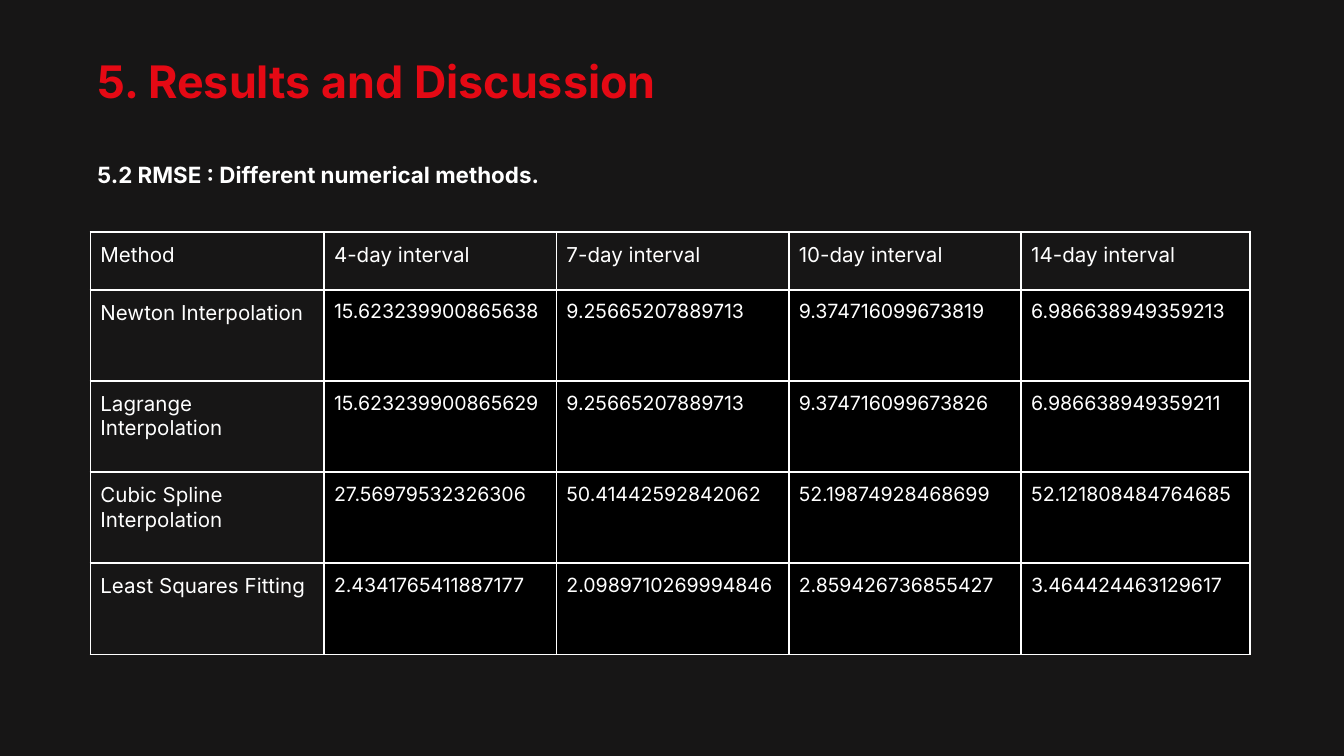
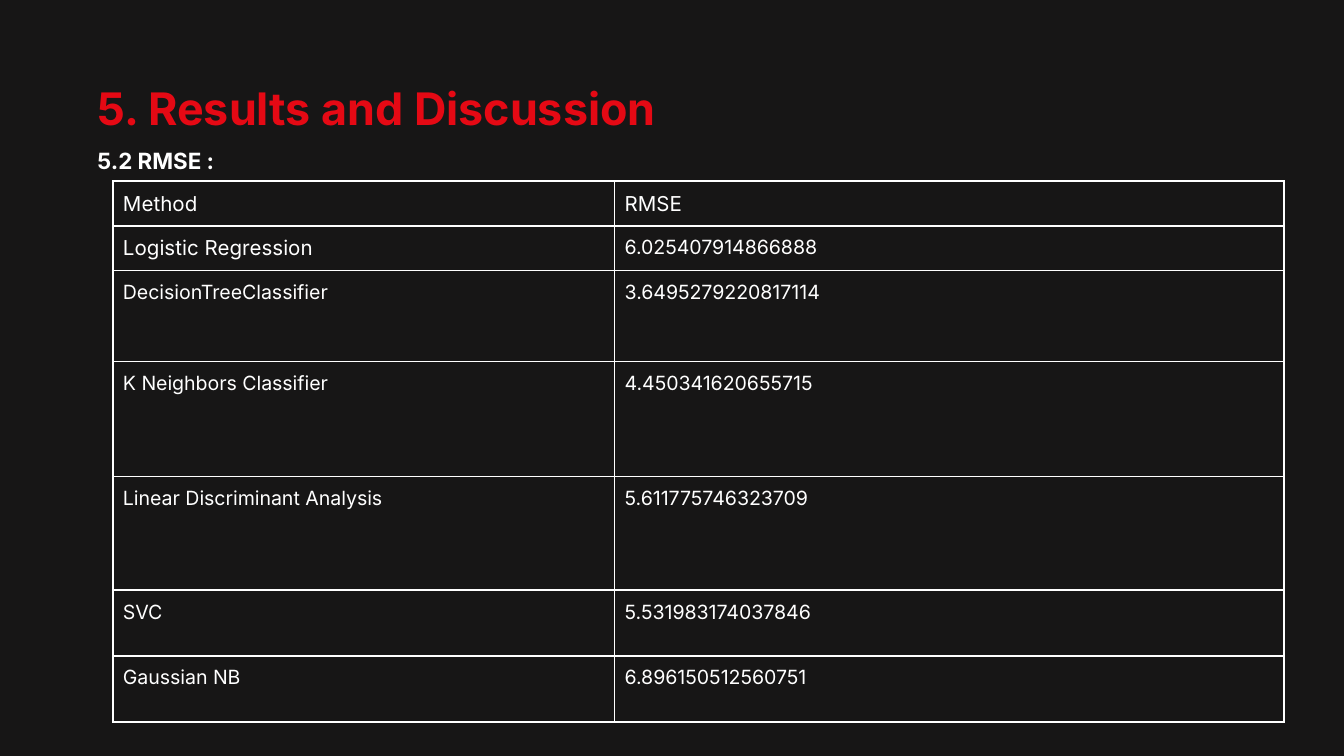
from lxml import etree
from pptx import Presentation
from pptx.dml.color import RGBColor
from pptx.enum.text import MSO_AUTO_SIZE
from pptx.oxml.ns import qn
from pptx.util import Pt

# Shared style
FONT = "Inter"
BACKGROUND, RED, WHITE, BLACK = "171616", "E50914", "FFFFFF", "000000"
TITLE = "5. Results and Discussion"
HEADER_SIZE, VALUE_SIZE = 11, 10.5
INSET_X, INSET_Y = 5.4, 2.7

# Slide 1: error of each method for each interval
INTERVAL_ROWS = [
    ["Method", "4-day interval", "7-day interval", "10-day interval", "14-day interval"],
    ["Newton Interpolation", "15.623239900865638", "9.25665207889713",
     "9.374716099673819", "6.986638949359213"],
    ["Lagrange Interpolation", "15.623239900865629", "9.25665207889713",
     "9.374716099673826", "6.986638949359211"],
    ["Cubic Spline Interpolation", "27.56979532326306", "50.41442592842062",
     "52.19874928468699", "52.121808484764685"],
    ["Least Squares Fitting", "2.4341765411887177", "2.0989710269994846",
     "2.859426736855427", "3.464424463129617"],
]

# Slide 2: error of each classifier
CLASSIFIER_ROWS = [
    ["Method", "RMSE"],
    ["Logistic Regression", "6.025407914866888"],
    ["DecisionTreeClassifier", "3.6495279220817114"],
    ["K Neighbors Classifier", "4.450341620655715"],
    ["Linear Discriminant Analysis", "5.611775746323709"],
    ["SVC", "5.531983174037846"],
    ["Gaussian NB", "6.896150512560751"],
]


def color(value):
    return RGBColor.from_string(value)


def set_font(p, size, rgb, bold=False):
    p.font.name = FONT
    p.font.size = Pt(size)
    p.font.bold = bold
    p.font.color.rgb = color(rgb)


def add_slide(prs):
    s = prs.slides.add_slide(prs.slide_layouts[6])
    s.background.fill.solid()
    s.background.fill.fore_color.rgb = color(BACKGROUND)
    return s


def add_heading(s, subtitle, height, gap=0, line_spacing=None):
    """Red title with a white subtitle in the same box."""
    sp = s.shapes.add_textbox(Pt(46.8), Pt(25.9), Pt(440.6), Pt(height))
    tf = sp.text_frame
    tf.word_wrap = True
    tf.auto_size = MSO_AUTO_SIZE.SHAPE_TO_FIT_TEXT
    tf.margin_left = tf.margin_right = Pt(INSET_X)
    tf.margin_top = tf.margin_bottom = Pt(INSET_Y)
    tf.text = f"{TITLE}\n{subtitle}"
    for p, size, rgb in zip(tf.paragraphs, (24, 12), (RED, WHITE)):
        set_font(p, size, rgb, bold=True)
        p.line_spacing = line_spacing
    tf.paragraphs[1].space_before = Pt(gap)


def set_borders(cell):
    tc_pr = cell._tc.get_or_add_tcPr()
    for i, side in enumerate(("a:lnL", "a:lnR", "a:lnT", "a:lnB")):
        ln = etree.Element(qn(side), w=str(Pt(1)))
        fill = etree.SubElement(ln, qn("a:solidFill"))
        etree.SubElement(fill, qn("a:srgbClr"), val=WHITE)
        tc_pr.insert(i, ln)


def format_cell(cell, text, size, fill):
    cell.margin_left = cell.margin_right = Pt(INSET_X)
    cell.margin_top = cell.margin_bottom = Pt(INSET_X)
    cell.text = text
    set_font(cell.text_frame.paragraphs[0], size, WHITE)
    if fill:
        cell.fill.solid()
        cell.fill.fore_color.rgb = color(fill)
    else:
        cell.fill.background()
    set_borders(cell)


def add_grid(s, left, top, widths, heights, rows, large_labels, value_fill=None):
    """Bordered table; the first large_labels rows have labels in header size."""
    table = s.shapes.add_table(len(rows), len(widths), Pt(left), Pt(top),
                               Pt(sum(widths)), Pt(sum(heights))).table
    table.first_row = table.horz_banding = False
    for column, width in zip(table.columns, widths):
        column.width = Pt(width)
    for i, (values, height) in enumerate(zip(rows, heights)):
        table.rows[i].height = Pt(height)
        for j, text in enumerate(values):
            is_value = i > 0 and j > 0
            large = not is_value and i < large_labels
            format_cell(table.cell(i, j), text,
                        HEADER_SIZE if large else VALUE_SIZE,
                        value_fill if is_value else None)


def main():
    prs = Presentation()
    prs.slide_width, prs.slide_height = Pt(720), Pt(405)

    # Numerical methods
    s = add_slide(prs)
    add_heading(s, "5.2 RMSE : Different numerical methods.", 78.5, gap=29)
    add_grid(s, 48.4, 124.4, [125.2] + [124.5] * 3 + [122.5], [31] + [48.8] * 4,
             INTERVAL_ROWS, large_labels=len(INTERVAL_ROWS), value_fill=BLACK)

    # Classifiers
    s = add_slide(prs)
    add_heading(s, "5.2 RMSE :", 63.4, line_spacing=1.5)
    add_grid(s, 60.5, 97, [268.8, 358.5], [23, 23, 48.7, 61.5, 61, 35.3, 35.2],
             CLASSIFIER_ROWS, large_labels=2)

    prs.save("out.pptx")


if __name__ == "__main__":
    main()
